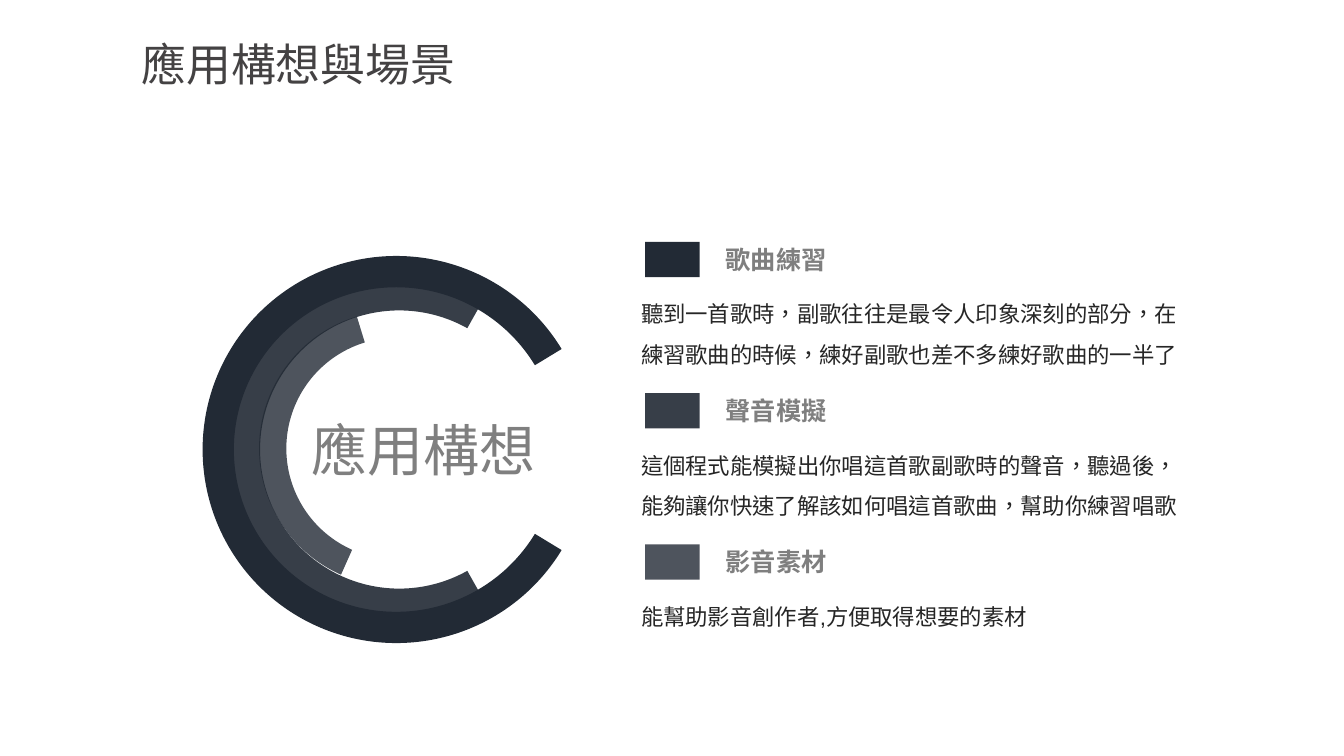
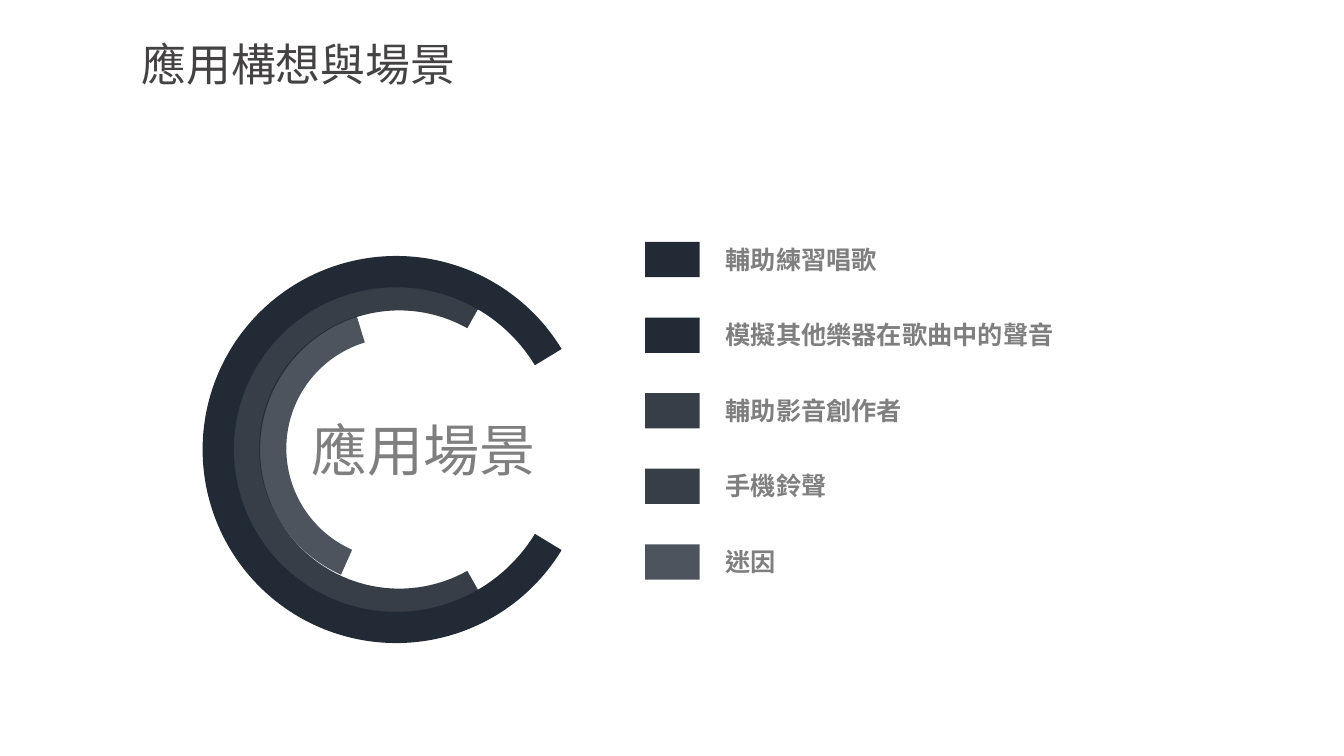
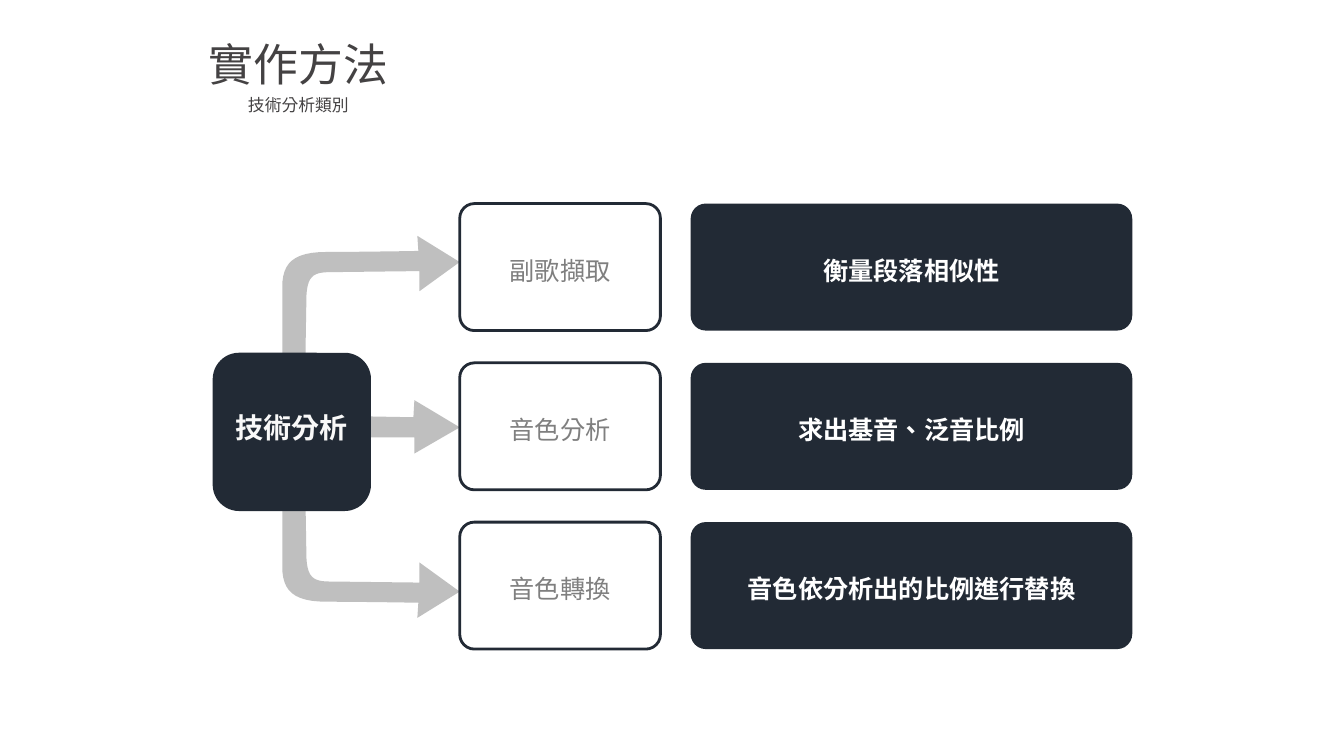
from dataclasses import dataclass

from lxml.etree import SubElement
from pptx import Presentation
from pptx.dml.color import RGBColor
from pptx.enum.shapes import MSO_SHAPE as Preset
from pptx.enum.text import MSO_ANCHOR as Anchor, MSO_AUTO_SIZE as AutoSize, PP_ALIGN as Align
from pptx.oxml.ns import qn
from pptx.util import Inches, Pt

COLORS = {
    "navy": "222A35",
    "title": "444243",
    "label": "7F7F7F",
    "body": "262626",
    "arrow": "BFBFBF",
    "white": "FFFFFF",
    "hub_text": "F9F9F9",
}
CJK_FONT = "Noto Sans CJK SC"
TITLE_ONLY = 5

Point = tuple[float, float]
Box = tuple[float, float, float, float]


@dataclass(frozen=True)
class TextStyle:
    size: float
    color: str
    font: str = CJK_FONT
    bold: bool = False
    align: Align = Align.LEFT
    spacing: float = 1.0


@dataclass(frozen=True)
class Ring:
    center: Point
    outer: float
    inner: float
    start: float  # degrees clockwise from the right
    end: float
    opacity: int


@dataclass(frozen=True)
class LegendItem:
    row: int
    label: str
    opacity: int
    body: str = ""
    body_font: str = "Arial"


TITLE = TextStyle(32, "title", "Arial", align=Align.CENTER)
SUBTITLE = TextStyle(12, "title", "Arial", align=Align.CENTER)
RING_CAPTION = TextStyle(40, "label")
LEGEND_LABEL = TextStyle(18, "label", bold=True)
STEP = TextStyle(18, "label", align=Align.CENTER, spacing=1.2)
DETAIL = TextStyle(18, "white", bold=True, align=Align.CENTER, spacing=1.2)
HUB = TextStyle(20, "hub_text", bold=True, align=Align.CENTER, spacing=1.2)

RINGS = [
    Ring((3.96, 4.46), 1.65, 1.38, 60.7, 299.3, 90),
    Ring((3.94, 4.45), 1.37, 1.1, 114, 253, 80),
    Ring((3.93, 4.46), 1.92, 1.61, 31.3, 328.7, 100),
]
LEGEND_TOP, LEGEND_STEP = 2.4, 0.75
ROW_TOP, ROW_STEP = 2.02, 1.58

CONCEPTS = [
    LegendItem(0, "歌曲練習", 100,
               "聽到一首歌時，副歌往往是最令人印象深刻的部分，在練習歌曲的時候，練好副歌也差不多練好歌曲的一半了"),
    LegendItem(2, "聲音模擬", 90,
               "這個程式能模擬出你唱這首歌副歌時的聲音，聽過後，能夠讓你快速了解該如何唱這首歌曲，幫助你練習唱歌",
               "Calibri"),
    LegendItem(4, "影音素材", 80, "能幫助影音創作者,方便取得想要的素材"),
]
SCENES = [
    LegendItem(0, "輔助練習唱歌", 100),
    LegendItem(1, "模擬其他樂器在歌曲中的聲音", 100),
    LegendItem(2, "輔助影音創作者", 90),
    LegendItem(3, "手機鈴聲", 90),
    LegendItem(4, "迷因", 80),
]
METHODS = [
    ("副歌擷取", "衡量段落相似性"),
    ("音色分析", "求出基音、泛音比例"),
    ("音色轉換", "音色依分析出的比例進行替換"),
]


# Text and fill helpers
def rgb(name: str) -> RGBColor:
    return RGBColor.from_string(COLORS[name])


def write(shape, text: str, style: TextStyle, anchor: Anchor = Anchor.TOP,
          insets: Box = (0.1, 0.05, 0.1, 0.05)) -> None:
    frame = shape.text_frame
    frame.text = text
    frame.word_wrap = True
    frame.auto_size = AutoSize.NONE
    frame.vertical_anchor = anchor
    (frame.margin_left, frame.margin_top,
     frame.margin_right, frame.margin_bottom) = map(Inches, insets)
    for paragraph in frame.paragraphs:
        paragraph.alignment = style.align
        paragraph.line_spacing = style.spacing
        for run in paragraph.runs:
            run.font.size = Pt(style.size)
            run.font.bold = style.bold
            run.font.color.rgb = rgb(style.color)
            run.font.name = style.font
            properties = run._r.get_or_add_rPr()
            properties.set("lang", "zh-TW")
            SubElement(properties, qn("a:ea")).set("typeface", CJK_FONT)


def add_text(slide, box: Box, text: str, style: TextStyle, **layout) -> None:
    write(slide.shapes.add_textbox(*map(Inches, box)), text, style, **layout)


def paint(shape, color: str, opacity: int = 100) -> None:
    shape.shadow.inherit = False
    shape.line.fill.background()
    shape.fill.solid()
    shape.fill.fore_color.rgb = rgb(color)
    if opacity < 100:
        color_element = shape._element.spPr.find(qn("a:solidFill"))[0]
        SubElement(color_element, qn("a:alpha")).set("val", str(opacity * 1000))


# Parts shared by the slides
def add_titled_slide(presentation, title: str):
    slide = presentation.slides.add_slide(presentation.slide_layouts[TITLE_ONLY])
    shape = slide.shapes.title
    shape.left, shape.top, shape.width, shape.height = map(Inches, (1.18, 0.36, 3.56, 0.54))
    write(shape, title, TITLE, Anchor.MIDDLE, (0, 0, 0, 0))
    return slide


def add_ring(slide, ring: Ring) -> None:
    x, y = ring.center
    diameter = 2 * ring.outer
    box = (x - ring.outer, y - ring.outer, diameter, diameter)
    shape = slide.shapes.add_shape(Preset.BLOCK_ARC, *map(Inches, box))
    # Angles are stored in 60000ths of a degree, ratios in 100000ths
    shape.adjustments[0] = ring.start * 0.6
    shape.adjustments[1] = ring.end * 0.6
    shape.adjustments[2] = (ring.outer - ring.inner) / diameter
    paint(shape, "navy", ring.opacity)


def add_legend_item(slide, item: LegendItem) -> None:
    top = LEGEND_TOP + item.row * LEGEND_STEP
    swatch = slide.shapes.add_shape(Preset.RECTANGLE, *map(Inches, (6.4, top, 0.54, 0.35)))
    paint(swatch, "navy", item.opacity)
    add_text(slide, (7.1, top - 0.03, 3.56, 0.4), item.label, LEGEND_LABEL)
    if item.body:
        style = TextStyle(16, "body", item.body_font, spacing=1.5)
        add_text(slide, (6.26, top + 0.4, 5.73, 0.86), item.body, style)


def add_ring_slide(presentation, caption: str, items: list[LegendItem]) -> None:
    slide = add_titled_slide(presentation, "應用構想與場景")
    for ring in RINGS:
        add_ring(slide, ring)
    add_text(slide, (2.99, 4.07, 3.04, 0.77), caption, RING_CAPTION)
    for item in items:
        add_legend_item(slide, item)


# Parts of the method diagram
def curve(start: Point, control_1: Point, control_2: Point, end: Point,
          steps: int = 12) -> list[Point]:
    points = []
    for index in range(steps + 1):
        t = index / steps
        weights = ((1 - t) ** 3, 3 * t * (1 - t) ** 2, 3 * t ** 2 * (1 - t), t ** 3)
        corners = (start, control_1, control_2, end)
        points.append((sum(w * p[0] for w, p in zip(weights, corners)),
                       sum(w * p[1] for w, p in zip(weights, corners))))
    return points


def add_arrow(slide, points: list[Point]) -> None:
    outline = [(Inches(x), Inches(y)) for x, y in points]
    builder = slide.shapes.build_freeform(*outline[0])
    builder.add_line_segments(outline[1:], close=True)
    paint(builder.convert_to_shape(), "arrow")


def add_rounded_box(slide, box: Box, radius: float, text: str, style: TextStyle,
                    outlined: bool = False, insets: Box = (0.1, 0.05, 0.1, 0.05)) -> None:
    shape = slide.shapes.add_shape(Preset.ROUNDED_RECTANGLE, *map(Inches, box))
    shape.adjustments[0] = radius
    paint(shape, "navy")
    if outlined:
        shape.fill.background()
        shape.line.color.rgb = rgb("navy")
        shape.line.width = Pt(2)
    write(shape, text, style, Anchor.MIDDLE, insets)


def add_method_slide(presentation) -> None:
    slide = add_titled_slide(presentation, "實作方法")
    add_text(slide, (1.18, 0.94, 3.56, 0.2), "技術分析類別", SUBTITLE,
             anchor=Anchor.MIDDLE, insets=(0, 0, 0, 0))

    # Arrows: the lower one mirrors the upper one
    upper = [
        (3.02, 4.15),
        *curve((3.04, 2.93), (3.05, 2.71), (3.14, 2.7), (3.3, 2.7)),
        (4.16, 2.69), (4.16, 2.89), (4.56, 2.6), (4.14, 2.34), (4.15, 2.49),
        *curve((4.15, 2.49), (4.15, 2.49), (3.57, 2.5), (3.24, 2.5)),
        *curve((3.24, 2.5), (2.91, 2.5), (2.8, 2.61), (2.8, 2.85)),
        (2.8, 4.17),
    ]
    middle = [(2.47, 4.11), (4.1, 4.14), (4.11, 3.97), (4.56, 4.24),
              (4.11, 4.5), (4.11, 4.34), (2.47, 4.34)]
    lower = [(x, 8.47 - y) for x, y in upper]
    for points in (upper, middle, lower):
        add_arrow(slide, points)

    # Steps with their details, then the hub
    for index, (step, detail) in enumerate(METHODS):
        top = ROW_TOP + index * ROW_STEP
        add_rounded_box(slide, (4.56, top, 1.99, 1.26), 0.115, step, STEP, outlined=True)
        add_rounded_box(slide, (6.85, top, 4.38, 1.26), 0.119, detail, DETAIL)
    add_rounded_box(slide, (2.11, 3.5, 1.57, 1.57), 0.167, "技術分析", HUB,
                    insets=(0.14, 0.05, 0.14, 0.2))


def main() -> None:
    presentation = Presentation()
    presentation.slide_width, presentation.slide_height = Inches(13.33), Inches(7.5)
    add_ring_slide(presentation, "應用構想", CONCEPTS)
    add_ring_slide(presentation, "應用場景", SCENES)
    add_method_slide(presentation)
    presentation.save("out.pptx")


if __name__ == "__main__":
    main()
